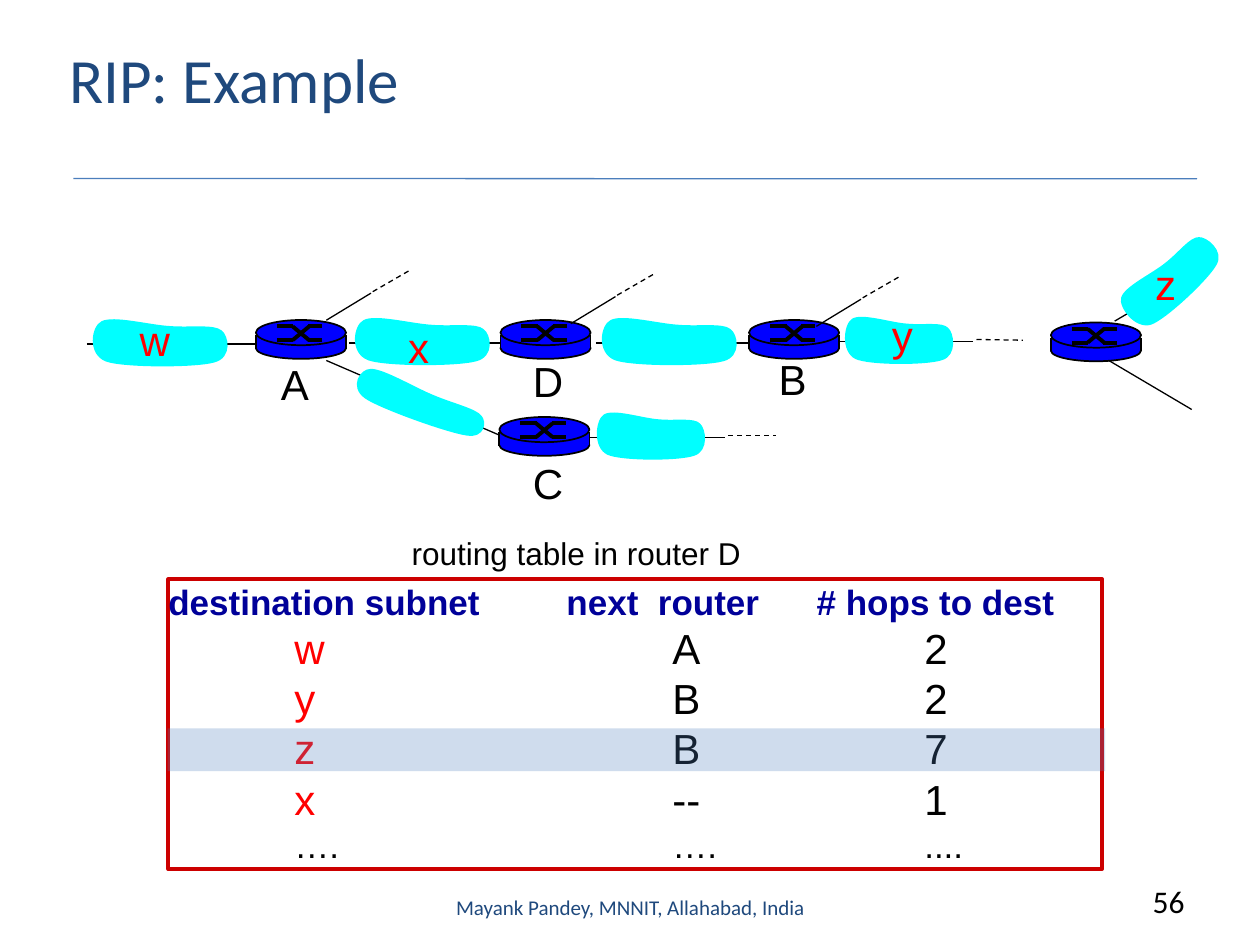
from lxml import etree
from pptx import Presentation
from pptx.dml.color import RGBColor
from pptx.enum.dml import MSO_LINE
from pptx.enum.shapes import MSO_CONNECTOR, MSO_SHAPE as SHAPE
from pptx.enum.text import MSO_ANCHOR as ANCHOR, PP_ALIGN as ALIGN
from pptx.oxml.ns import qn
from pptx.util import Pt

BLACK = RGBColor(0x00, 0x00, 0x00)
RED = RGBColor(0xFF, 0x00, 0x00)
FRAME_RED = RGBColor(0xCC, 0x00, 0x00)
CYAN = RGBColor(0x00, 0xFF, 0xFF)
BLUE = RGBColor(0x00, 0x00, 0xFF)
HEADER_BLUE = RGBColor(0x00, 0x00, 0x99)
TITLE_BLUE = RGBColor(0x1F, 0x49, 0x7D)
RULE_BLUE = RGBColor(0x4B, 0x7E, 0xBC)
HIGHLIGHT = RGBColor(0x4F, 0x81, 0xBD)


def add_line(shapes, x1, y1, x2, y2, width=0.75, color=BLACK, dashed=False):
    c = shapes.add_connector(MSO_CONNECTOR.STRAIGHT, Pt(x1), Pt(y1), Pt(x2), Pt(y2))
    c.line.color.rgb = color
    c.line.width = Pt(width)
    if dashed:
        c.line.dash_style = MSO_LINE.DASH
    etree.SubElement(c._element.spPr, qn("a:effectLst"))


def add_text(x, y, w, h, text, size, color=BLACK, font="Arial", align=ALIGN.LEFT, wrap=False):
    tf = s.shapes.add_textbox(Pt(x), Pt(y), Pt(w), Pt(h)).text_frame
    tf.word_wrap = wrap
    p = tf.paragraphs[0]
    p.text = text
    p.alignment = align
    p.font.size, p.font.name, p.font.color.rgb = Pt(size), font, color
    return tf


prs = Presentation()
prs.slide_width, prs.slide_height = Pt(720), Pt(540)
s = prs.slides.add_slide(prs.slide_layouts[5])

# Title and rule
title = s.shapes.title
title.left, title.top, title.width, title.height = Pt(32.4), Pt(0), Pt(612), Pt(90)
tf = title.text_frame
tf.text = "RIP: Example"
tf.vertical_anchor = ANCHOR.MIDDLE
p = tf.paragraphs[0]
p.alignment = ALIGN.LEFT
p.font.size, p.font.name, p.font.color.rgb = Pt(36), "Calibri", TITLE_BLUE
add_line(s.shapes, 42, 102, 684, 102.2, color=RULE_BLUE)

# Routing table: tabbed rows in a red frame
frame = s.shapes.add_shape(SHAPE.RECTANGLE, Pt(96.2), Pt(331), Pt(533.6), Pt(165.6))
frame.shadow.inherit = False
frame.fill.background()
frame.line.color.rgb = FRAME_RED
frame.line.width = Pt(2.25)
tf = frame.text_frame
tf.word_wrap = True
tf.vertical_anchor = ANCHOR.TOP
tf.margin_left = tf.margin_right = tf.margin_bottom = 0
tf.margin_top = Pt(0.5)
HEADER_TABS, BODY_TABS = (227.5, 370.5), (72, 288, 432)
rows = [
    (20, HEADER_TABS, [("destination subnet\tnext  router\t# hops to dest", HEADER_BLUE)]),
    (24, BODY_TABS, [("\tw", RED), ("\tA\t2", BLACK)]),
    (24, BODY_TABS, [("\ty", RED), ("\tB\t2", BLACK)]),
    (24, BODY_TABS, [("\tz", RED), ("\tB\t7", BLACK)]),
    (24, BODY_TABS, [("\tx", RED), ("\t--\t1", BLACK)]),
    (20, BODY_TABS, [("\t….\t….\t....", BLACK)]),
]
for i, (size, tabs, runs) in enumerate(rows):
    p = tf.paragraphs[0] if i == 0 else tf.add_paragraph()
    p.alignment = ALIGN.LEFT
    p.line_spacing = Pt(1.2 * size)
    tab_list = etree.SubElement(p._p.get_or_add_pPr(), qn("a:tabLst"))
    for pos in tabs:
        etree.SubElement(tab_list, qn("a:tab"), pos=str(Pt(pos)), algn="l")
    p.font.name, p.font.size, p.font.bold = "Arial", Pt(size), i == 0
    for text, color in runs:
        r = p.add_run()
        r.text = text
        r.font.color.rgb = color
add_text(228.2, 301.7, 221, 29, "routing table in router D", 18)

# Links between routers and subnets
for x1, y1, x2, y2, width in [
    (49.7, 196.5, 147.5, 196.5, 1),
    (199.5, 196, 297, 196, 1),
    (340.5, 196, 438.5, 196, 1),
    (479, 195, 556, 195, 0.75),
    (337, 250, 414, 250, 0.75),
    (186.5, 206, 285, 248.5, 0.75),
    (637, 183.5, 684.7, 155.5, 0.75),
    (633.6, 206, 681, 234, 0.75),
]:
    add_line(s.shapes, x1, y1, x2, y2, width)
add_line(s.shapes, 558, 194, 584.5, 194.4, dashed=True)
add_line(s.shapes, 416, 249, 443.5, 249, dashed=True)

# Routers: a blue drum with a crossover mark on top
for x, y in [(146.2, 182.9), (286, 182.9), (428, 182.9), (285.3, 238.3), (600.5, 184.3)]:
    router = s.shapes.add_group_shape().shapes
    for kind, top, height in [(SHAPE.OVAL, 10, 12.2), (SHAPE.RECTANGLE, 8.6, 7.5), (SHAPE.OVAL, 0, 14.4)]:
        sp = router.add_shape(kind, Pt(x), Pt(y + top), Pt(51.5), Pt(height))
        sp.shadow.inherit = False
        sp.fill.solid()
        sp.fill.fore_color.rgb = BLUE
        if kind == SHAPE.RECTANGLE:
            sp.line.fill.background()
            for side in (x, x + 51.5):
                add_line(router, side, y + 8.6, side, y + 16.5, 1)
        else:
            sp.line.color.rgb = BLACK
            sp.line.width = Pt(1)
    for start, end in [(3.6, 11.5), (11.5, 3.6)]:
        for x1, y1, x2, y2 in [(12, start, 21.5, start), (21, start, 30.5, end), (30, end, 38, end)]:
            add_line(router, x + x1, y + y1, x + x2, y + y2, 2.25)

# Subnet clouds: Bezier segments in percent of the cloud's box
CLOUD_START = (57, 21)
CLOUD_CURVES = [
    ((43, 19), (18, 0), (10, 12)),
    ((3, 21), (0, 74), (13, 88)),
    ((25, 100), (74, 100), (87, 90)),
    ((100, 81), (97, 38), (92, 29)),
    ((87, 17), (71, 24), CLOUD_START),
]
for x, y, w, h, angle in [
    (49.7, 180, 83.5, 30.2, 0),
    (199.5, 179.3, 83.5, 30.2, 0),
    (340.6, 179.3, 83.5, 30.2, 0),
    (480.2, 178.6, 67, 30.2, 0),
    (338.4, 233.3, 67, 30.2, 0),
    (198.7, 218.9, 83.5, 22.3, 19.7),
    (634.3, 144.7, 68.4, 30.2, 316.8),
]:
    fb = s.shapes.build_freeform(Pt(x), Pt(y))
    fb.add_line_segments([(Pt(x + w), Pt(y)), (Pt(x + w), Pt(y + h)), (Pt(x), Pt(y + h))])
    sp = fb.convert_to_shape()
    outline = next(sp._element.iter(qn("a:path")))
    for child in list(outline):
        outline.remove(child)
    segments = [("a:moveTo", [CLOUD_START])] + [("a:cubicBezTo", c) for c in CLOUD_CURVES]
    for tag, points in segments:
        segment = etree.SubElement(outline, qn(tag))
        for px, py in points:
            etree.SubElement(segment, qn("a:pt"), x=str(Pt(w * px / 100)), y=str(Pt(h * py / 100)))
    etree.SubElement(outline, qn("a:close"))
    sp.rotation = angle
    sp.shadow.inherit = False
    sp.fill.solid()
    sp.fill.fore_color.rgb = CYAN
    sp.line.fill.background()

# Branches to further networks
for x, y in [(186.5, 183), (326.2, 185), (466.5, 186.5)]:
    add_line(s.shapes, x, y, x + 25.5, y - 15.5)
    add_line(s.shapes, x + 26.5, y - 16.3, x + 48.5, y - 29, dashed=True)

# Labels of subnets and routers
for text, x, y, w, color in [
    ("w", 72.7, 176.4, 31, RED), ("x", 226.1, 180, 28.8, RED),
    ("y", 502.6, 173.5, 27.4, RED), ("z", 653, 144, 27.4, RED),
    ("A", 153.4, 201.6, 31.7, BLACK), ("C", 297.4, 257.8, 32, BLACK),
    ("D", 297.4, 199.4, 32, BLACK), ("B", 437.8, 198.7, 29.5, BLACK),
]:
    add_text(x, y, w, 36, text, 24, color)

# Translucent highlight on the row of z
band = s.shapes.add_shape(SHAPE.RECTANGLE, Pt(95.8), Pt(416.2), Pt(535.7), Pt(24.5))
band.shadow.inherit = False
band.fill.solid()
band.fill.fore_color.rgb = HIGHLIGHT
band.line.fill.background()
srgb = band._element.spPr.find(qn("a:solidFill")).find(qn("a:srgbClr"))
etree.SubElement(srgb, qn("a:alpha")).set("val", "27000")

# Footer and slide number
tf = add_text(246.2, 504, 228.2, 28.8, "Mayank Pandey, MNNIT, Allahabad, India", 12,
              TITLE_BLUE, "Calibri", ALIGN.CENTER, True)
tf.vertical_anchor = ANCHOR.MIDDLE
add_text(630, 500.4, 54, 28.8, "56", 18, font="Calibri", align=ALIGN.RIGHT, wrap=True)

prs.save("out.pptx")
